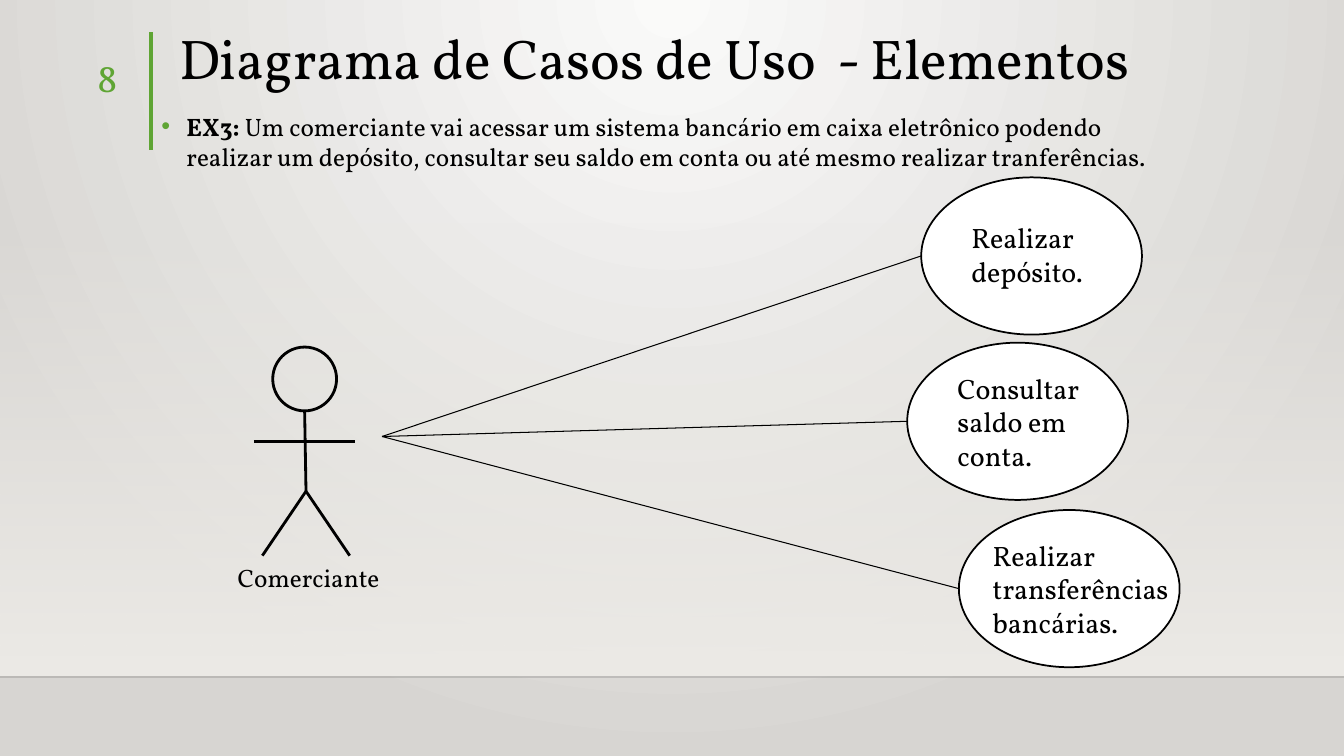
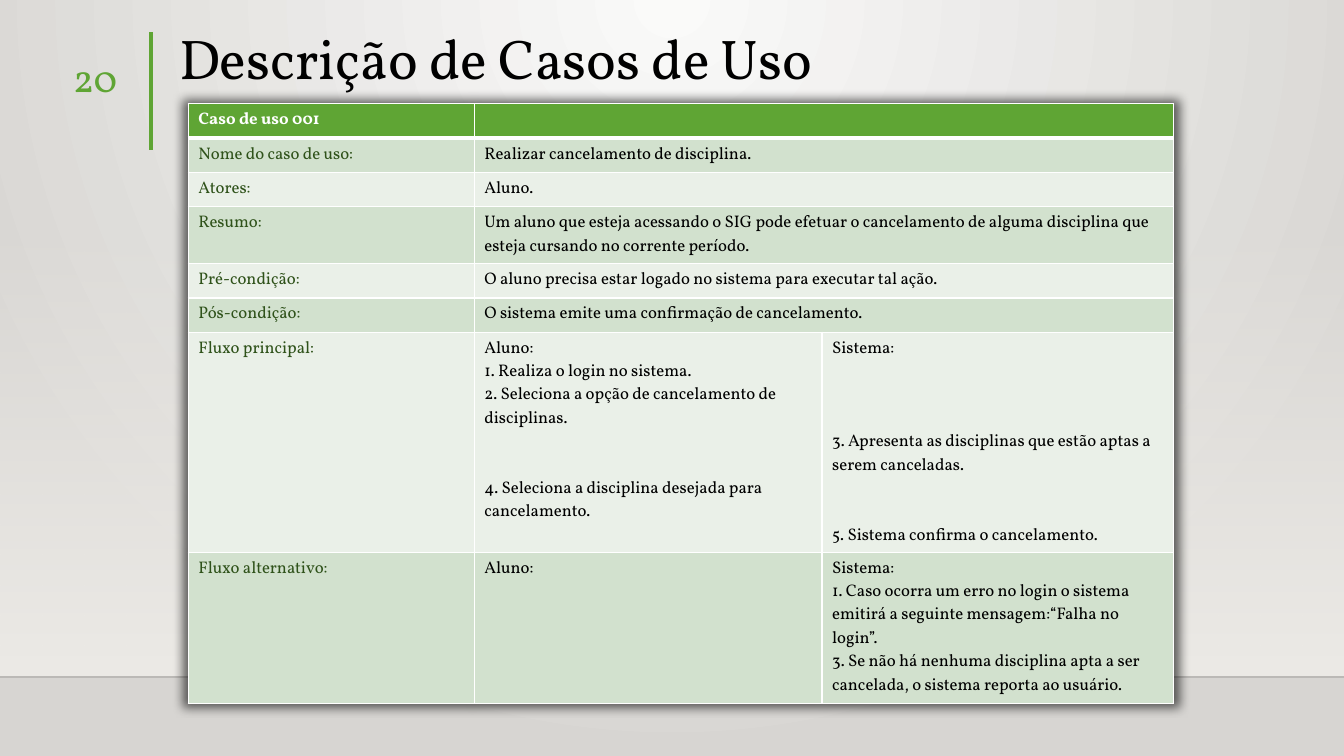
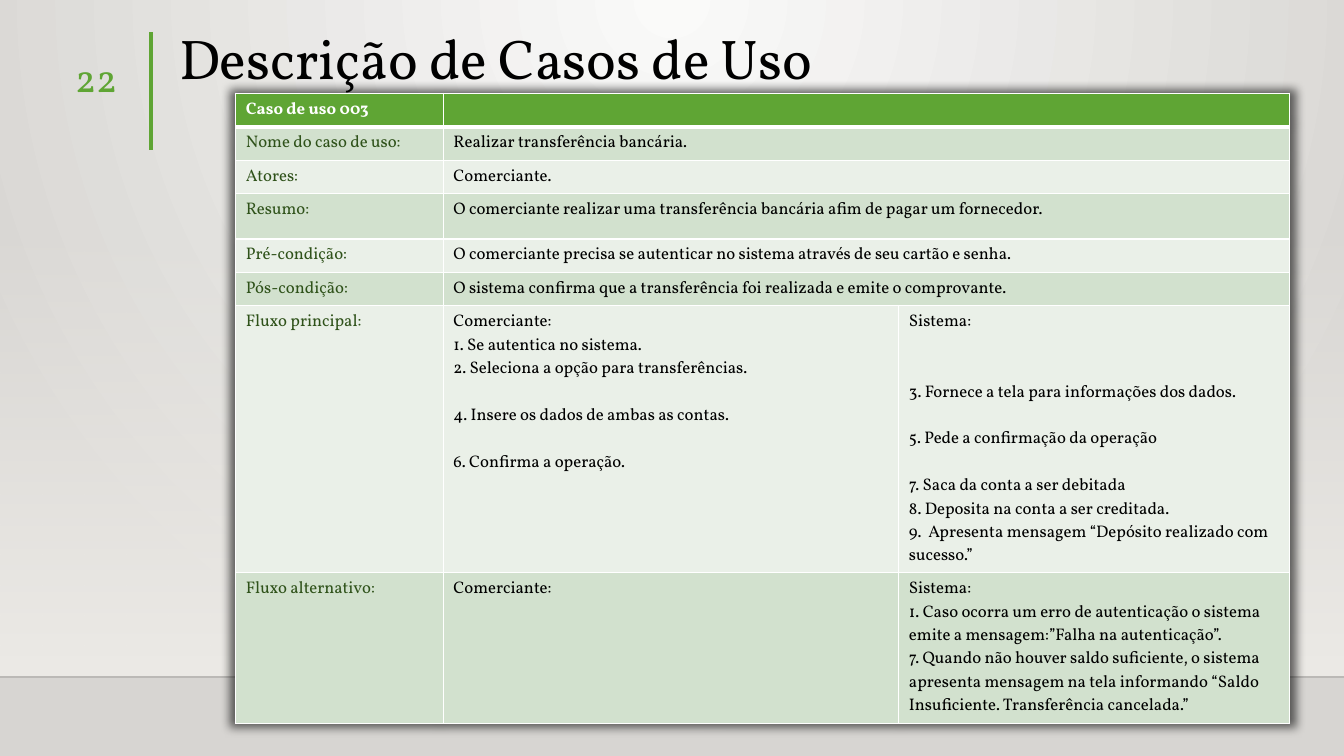
from dataclasses import dataclass

from lxml.etree import SubElement
from pptx import Presentation
from pptx.dml.color import RGBColor
from pptx.enum.shapes import MSO_CONNECTOR, MSO_SHAPE
from pptx.enum.text import MSO_ANCHOR, MSO_AUTO_SIZE, PP_ALIGN
from pptx.oxml import parse_xml
from pptx.oxml.ns import nsdecls, qn
from pptx.util import Pt


@dataclass(frozen=True)
class Theme:
    """Colours, type sizes and measures shared by the slides."""
    font: str = "Vollkorn"
    ink: str = "000000"
    white: str = "FFFFFF"
    green: str = "5FA534"
    dark_green: str = "2F521A"
    bands: tuple = ("EAF0E8", "D2E1CE")
    backdrop: tuple = ("FAFAF9", "D7D5D2")
    wall: str = "EDEBE7"
    floor_line: str = "000001"
    title: float = 40
    number: float = 28
    use_case: float = 20
    text: float = 18
    cell: float = 12
    cell_line: float = 16.75
    width: float = 960
    height: float = 540


THEME = Theme()


def rgb(color):
    """Turn a hex colour into an RGBColor."""
    return RGBColor.from_string(color)


def place(shape, box):
    """Move a shape to a box of left, top, width and height."""
    shape.left, shape.top, shape.width, shape.height = map(Pt, box)


def write(paragraph, text, size, color=THEME.ink, bold=False):
    """Add one formatted run to a paragraph."""
    run = paragraph.add_run()
    run.text = text
    run.font.name, run.font.size, run.font.bold = THEME.font, Pt(size), bold
    run.font.color.rgb = rgb(color)


def label(slide, box, text, size, color=THEME.ink, align=PP_ALIGN.LEFT):
    """Add a wrapping one-paragraph text box."""
    frame = slide.shapes.add_textbox(*map(Pt, box)).text_frame
    frame.word_wrap = True
    frame.paragraphs[0].alignment = align
    write(frame.paragraphs[0], text, size, color)


def stroke(shapes, start, end, color, width):
    """Draw a straight line without shadow."""
    line = shapes.add_connector(MSO_CONNECTOR.STRAIGHT, *map(Pt, (*start, *end)))
    line.line.color.rgb, line.line.width = rgb(color), Pt(width)
    SubElement(line._element.spPr, qn("a:effectLst"))
    return line


def oval(shapes, box, width, fill=None):
    """Draw an outlined ellipse, filled if a colour is given."""
    ellipse = shapes.add_shape(MSO_SHAPE.OVAL, *map(Pt, box))
    ellipse.shadow.inherit = False
    ellipse.line.color.rgb, ellipse.line.width = rgb(THEME.ink), Pt(width)
    if fill:
        ellipse.fill.solid()
        ellipse.fill.fore_color.rgb = rgb(fill)
    else:
        ellipse.fill.background()


def blend(fill, parent, colors, direction, first_alpha=100):
    """Give a fill a two-stop gradient with the given direction XML."""
    fill.gradient()
    first, last = colors
    parent.replace(parent.find(qn("a:gradFill")), parse_xml(
        f'<a:gradFill {nsdecls("a")} rotWithShape="1"><a:gsLst>'
        f'<a:gs pos="0"><a:srgbClr val="{first}"><a:alpha val="{first_alpha * 1000}"/></a:srgbClr></a:gs>'
        f'<a:gs pos="100000"><a:srgbClr val="{last}"/></a:gs>'
        f'</a:gsLst>{direction}</a:gradFill>'))


def paint_master(master):
    """Set the radial background once for all slides."""
    fill = master.background.fill
    blend(fill, master._element.cSld.bg.bgPr, THEME.backdrop,
          '<a:path path="circle"><a:fillToRect l="43000" t="0" r="43000" b="100000"/></a:path>')


def start_slide(deck, layout, title, number):
    """Add a slide with wall, floor line, green rule, title and number."""
    slide = deck.slides.add_slide(deck.slide_layouts[layout])
    wall = slide.shapes.add_shape(MSO_SHAPE.RECTANGLE, *map(Pt, (0, 158.4, THEME.width, 324)))
    wall.shadow.inherit = False
    wall.line.fill.background()
    blend(wall.fill, wall._element.spPr, (THEME.wall, THEME.wall), '<a:lin ang="5400000" scaled="0"/>', 0)
    floor = stroke(slide.shapes, (0, 483.6), (THEME.width, 483.6), THEME.floor_line, 1)
    SubElement(next(floor._element.iter(qn("a:srgbClr"))), qn("a:alpha"), val="20000")
    stroke(slide.shapes, (108, 23), (108, 107.3), THEME.green, 3)
    heading = slide.shapes.title
    place(heading, (120.7, 8, 749.5, 61.2))
    frame = heading.text_frame
    frame.auto_size, frame.vertical_anchor = MSO_AUTO_SIZE.NONE, MSO_ANCHOR.BOTTOM
    frame.paragraphs[0].alignment, frame.paragraphs[0].line_spacing = PP_ALIGN.LEFT, 0.9
    write(frame.paragraphs[0], title, THEME.title)
    label(slide, (26.8, 34.6, 64, 39.6), number, THEME.number, THEME.green, PP_ALIGN.RIGHT)
    return slide


def statement(slide, box, lead, text):
    """Fill the body placeholder with one bulleted statement."""
    body = slide.placeholders[1]
    place(body, box)
    body.text_frame.auto_size = MSO_AUTO_SIZE.NONE
    paragraph = body.text_frame.paragraphs[0]
    paragraph.line_spacing, paragraph.space_before = 1.0, Pt(10)
    props = paragraph._p.get_or_add_pPr()
    props.set("marL", str(Pt(18)))
    props.set("indent", str(Pt(-18)))
    SubElement(SubElement(props, qn("a:buClr")), qn("a:srgbClr"), val=THEME.green)
    SubElement(props, qn("a:buChar"), char="•")
    write(paragraph, lead, THEME.text, bold=True)
    write(paragraph, text, THEME.text)


def actor(slide, box, name):
    """Draw a stick figure in a box with its name below."""
    left, top, width, height = box
    figure = slide.shapes.add_group_shape().shapes
    head, middle, bottom = 45.6, left + width / 2, top + height
    hip = (middle + 1, top + 103)
    oval(figure, (middle - head / 2, top, head, head), 2)
    for start, end in (
        ((middle, top + head), hip),
        ((left, top + 67.5), (left + width, top + 67.5)),
        (hip, (left + 6, bottom)),
        (hip, (left + width - 4, bottom)),
    ):
        stroke(figure, start, end, THEME.ink, 2)
    label(slide, (left - 18.7, bottom + 1.5, 121, 28.8), name, THEME.text)


def use_case(slide, box, hand, text, text_box):
    """Draw a use case, its link to the actor's hand and its text."""
    left, top, _, height = box
    stroke(slide.shapes, hand, (left, top + height / 2), THEME.ink, 0.75)
    oval(slide.shapes, box, 1.25, THEME.white)
    dx, dy, *size = text_box
    label(slide, (left + dx, top + dy, *size), text, THEME.use_case)


def fill_cell(cell, steps, fill, color, bold=False, bottom=1):
    """Write (blank lines before, text) steps into a bordered cell."""
    props = cell._tc.get_or_add_tcPr()
    for side, width in (("L", 1), ("R", 1), ("T", 1), ("B", bottom)):
        edge = SubElement(props, qn(f"a:ln{side}"), w=str(Pt(width)))
        SubElement(SubElement(edge, qn("a:solidFill")), qn("a:srgbClr"), val=THEME.white)
    cell.fill.solid()
    cell.fill.fore_color.rgb = rgb(fill)
    frame = cell.text_frame
    for index, (gap, text) in enumerate(steps):
        paragraph = frame.add_paragraph() if index else frame.paragraphs[0]
        paragraph.space_before = Pt(gap * THEME.cell_line)
        write(paragraph, text, THEME.cell, color, bold)
    if not steps:
        SubElement(frame.paragraphs[0]._p, qn("a:endParaRPr"), sz=str(THEME.cell * 100))


def description(slide, corner, columns, heights, code, summary, flows):
    """Build the description table of one use case."""
    fields = ("Nome do caso de uso:", "Atores:", "Resumo:", "Pré-condição:", "Pós-condição:")
    rows = [(field, [(0, text)], []) for field, text in zip(fields, summary)]
    rows += [(field, *flow) for field, flow in zip(("Fluxo principal:", "Fluxo alternativo:"), flows)]
    box = (*corner, sum(columns), sum(heights))
    table = slide.shapes.add_table(len(heights), len(columns), *map(Pt, box)).table
    table._tbl.tblPr.insert(0, parse_xml(
        f'<a:effectLst {nsdecls("a")}><a:outerShdw blurRad="{Pt(7)}" dist="0" dir="0" '
        f'sx="101000" sy="101000" algn="ctr" rotWithShape="0"><a:srgbClr val="{THEME.ink}">'
        f'<a:alpha val="60000"/></a:srgbClr></a:outerShdw></a:effectLst>'))
    for column, width in zip(table.columns, columns):
        column.width = Pt(width)
    for row, height in zip(table.rows, heights):
        row.height = Pt(height)
    for column, steps in enumerate(([(0, code)], [], [])):
        fill_cell(table.cell(0, column), steps, THEME.green, THEME.white, True, 3)
    for index, (field, *answers) in enumerate(rows, 1):
        band = THEME.bands[index % 2]
        fill_cell(table.cell(index, 0), [(0, field)], band, THEME.dark_green)
        for column, steps in enumerate(answers, 1):
            fill_cell(table.cell(index, column), steps, band, THEME.ink)
    for index in range(len(summary) + 1):
        table.cell(index, 1).merge(table.cell(index, 2))


def banking_diagram(deck):
    """Build the use case diagram of the bank example."""
    slide = start_slide(deck, 1, "Diagrama de Casos de Uso  - Elementos", "8")
    statement(slide, (108, 75.6, 749.5, 127.4), "EX3: ",
              "Um comerciante vai acessar um sistema bancário em caixa eletrônico podendo realizar "
              "um depósito, consultar seu saldo em conta ou até mesmo realizar tranferências.")
    for corner, text, text_box in (
        ((658, 126.7), "Realizar depósito.", (28.8, 27.2, 153.4, 55.4)),
        ((648, 244.8), "Consultar saldo em conta.", (28.8, 16.8, 137.5, 80)),
        ((684.9, 364.3), "Realizar transferências bancárias.", (17.1, 16.6, 155.5, 80)),
    ):
        use_case(slide, (*corner, 157.7, 112.3), (272.9, 311.8), text, text_box)
    actor(slide, (181.4, 247.9, 72.4, 149), "Comerciante")


def cancellation(deck):
    """Build the description of cancelling a course."""
    slide = start_slide(deck, 5, "Descrição de Casos de Uso", "20")
    description(
        slide, (134.5, 74.2), (204.3, 248.4, 251.3),
        (24.5, 24.5, 24.5, 40.7, 24.5, 24.5, 157.2, 107.7), "Caso de uso 001",
        ("Realizar cancelamento de disciplina.",
         "Aluno.",
         "Um aluno que esteja acessando o SIG pode efetuar o cancelamento de alguma disciplina "
         "que esteja cursando no corrente período.",
         "O aluno precisa estar logado no sistema para executar tal ação.",
         "O sistema emite uma confirmação de cancelamento."),
        (([(0, "Aluno:"),
           (0, "1. Realiza o login no sistema."),
           (0, "2. Seleciona a opção de cancelamento de disciplinas."),
           (2, "4. Seleciona a disciplina desejada para cancelamento.")],
          [(0, "Sistema:"),
           (3, "3. Apresenta as disciplinas que estão aptas a serem canceladas."),
           (2, "5. Sistema confirma o cancelamento.")]),
         ([(0, "Aluno:")],
          [(0, "Sistema:"),
           (0, "1. Caso ocorra um erro no login o sistema emitirá a seguinte mensagem:“Falha no login”."),
           (0, "3. Se não há nenhuma disciplina apta a ser cancelada, o sistema reporta ao usuário.")])))


def transfer(deck):
    """Build the description of a bank transfer."""
    slide = start_slide(deck, 5, "Descrição de Casos de Uso", "22")
    description(
        slide, (168.4, 66.6), (148.3, 325.4, 279),
        (23.9, 23.9, 23.9, 32.4, 23.9, 23.9, 190.7, 107.7), "Caso de uso 003",
        ("Realizar transferência bancária.",
         "Comerciante.",
         "O comerciante realizar uma transferência bancária afim de pagar um fornecedor.",
         "O comerciante precisa se autenticar no sistema através de seu cartão e senha.",
         "O sistema confirma que a transferência foi realizada e emite o comprovante."),
        (([(0, "Comerciante:"),
           (0, "1. Se autentica no sistema."),
           (0, "2. Seleciona a opção para transferências."),
           (1, "4. Insere os dados de ambas as contas."),
           (1, "6. Confirma a operação.")],
          [(0, "Sistema:"),
           (2, "3. Fornece a tela para informações dos dados."),
           (1, "5. Pede a confirmação da operação"),
           (1, "7. Saca da conta a ser debitada"),
           (0, "8. Deposita na conta a ser creditada."),
           (0, "9.  Apresenta mensagem “Depósito realizado com sucesso.”")]),
         ([(0, "Comerciante:")],
          [(0, "Sistema:"),
           (0, "1. Caso ocorra um erro de autenticação o sistema emite a mensagem:”Falha na autenticação”."),
           (0, "7. Quando não houver saldo suficiente, o sistema apresenta mensagem na tela informando "
               "“Saldo Insuficiente. Transferência cancelada.”")])))


def build():
    """Build and save the three slides."""
    deck = Presentation()
    deck.slide_width, deck.slide_height = Pt(THEME.width), Pt(THEME.height)
    paint_master(deck.slide_master)
    for make_slide in (banking_diagram, cancellation, transfer):
        make_slide(deck)
    deck.save("out.pptx")


build()
